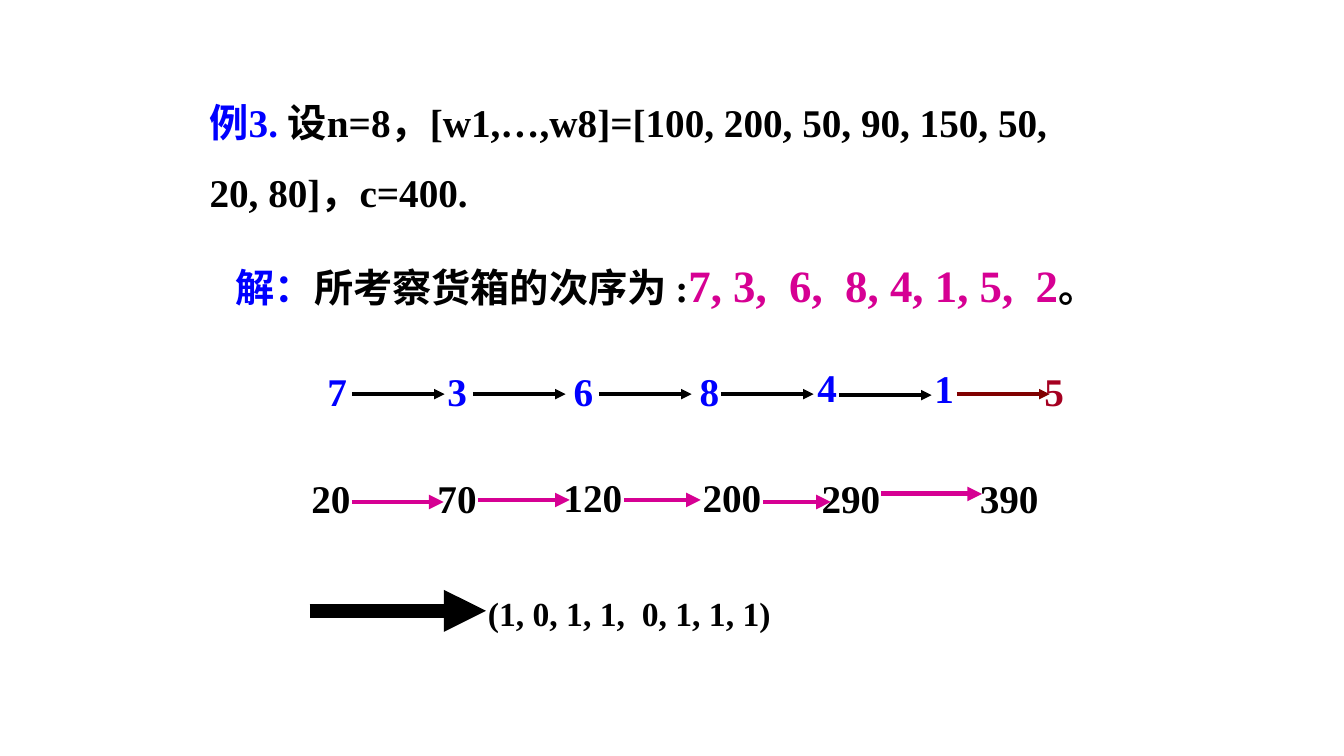
from lxml import etree
from pptx import Presentation
from pptx.dml.color import RGBColor
from pptx.enum.shapes import MSO_CONNECTOR
from pptx.enum.text import MSO_ANCHOR, MSO_AUTO_SIZE
from pptx.oxml.ns import qn
from pptx.util import Inches, Pt

STRAIGHT = MSO_CONNECTOR.STRAIGHT
TOP, MIDDLE = MSO_ANCHOR.TOP, MSO_ANCHOR.MIDDLE
GROW = MSO_AUTO_SIZE.SHAPE_TO_FIT_TEXT
BLACK, BLUE, PINK = "000000", "0000FF", "D60093"
RED, MAROON = "A50021", "800000"


def paint(code):
    return RGBColor.from_string(code)


class Board:
    """Holds the text style and the current slide, and draws on it."""

    def __init__(self, slide):
        self.slide = slide
        self.style = {"name": "Times New Roman", "bold": True}

    def text(self, box, runs, size=28, wrap=False, lead=1.0, anchor=TOP):
        shape = self.slide.shapes.add_textbox(*map(Inches, box))
        frame = shape.text_frame
        form = {"word_wrap": wrap, "auto_size": GROW, "vertical_anchor": anchor}
        for key, value in form.items():
            setattr(frame, key, value)
        para = frame.paragraphs[0]
        para.line_spacing = lead
        for words, color, *own in runs:
            run = para.add_run()
            run.text = words
            look = self.style | {"size": Pt(own[0] if own else size)}
            for key, value in look.items():
                setattr(run.font, key, value)
            run.font.color.rgb = paint(color)

    def arrow(self, left, right, y, color, width):
        ends = map(Inches, (left, y, right, y))
        link = self.slide.shapes.add_connector(STRAIGHT, *ends)
        link.line.color.rgb = paint(color)
        link.line.width = Pt(width)
        line = link.line._get_or_add_ln()
        etree.SubElement(line, qn("a:tailEnd"), type="triangle")
        etree.SubElement(link._element.spPr, qn("a:effectLst"))


def main():
    deck = Presentation()
    deck.slide_width, deck.slide_height = Inches(13.33), Inches(7.5)
    board = Board(deck.slides.add_slide(deck.slide_layouts[6]))

    board.text((1.98, 0.69, 8.95, 1.5), [
        ("例3. ", BLUE),
        ("设n=8，[w1,…,w8]=[100, 200, 50, 90, 150, 50, 20, 80]，c=400.", BLACK),
    ], wrap=True, lead=1.5, anchor=MIDDLE)
    board.text((2.24, 2.27, 9.25, 0.87), [
        ("解：", BLUE),
        ("所考察货箱的次序为 :", BLACK),
        ("7, 3,  6,  8, 4, 1, 5,  2", PINK, 32),
        ("。", BLACK),
    ], wrap=True, lead=1.45)
    board.text((4.74, 5.65, 3.08, 0.68),
               [("(1, 0, 1, 1,  0, 1, 1, 1)", BLACK)],
               size=24, wrap=True, lead=1.45)

    order = [("7", 3.15, 3.59), ("3", 4.34, 3.59), ("6", 5.59, 3.59),
             ("8", 6.84, 3.59), ("4", 8.01, 3.56), ("1", 9.17, 3.57),
             ("5", 10.26, 3.59)]
    for label, left, top in order:
        color = RED if label == "5" else BLUE
        board.text((left, top, 0.4, 0.57), [(label, color)])

    sums = [("20", 2.99, 4.66), ("70", 4.24, 4.66), ("120", 5.49, 4.65),
            ("200", 6.87, 4.65), ("290", 8.05, 4.66), ("390", 9.62, 4.66)]
    for label, left, top in sums:
        width = 0.2 + 0.195 * len(label)
        board.text((left, top, width, 0.57), [(label, BLACK)])

    steps = [(3.49, 3.91, BLACK), (4.69, 3.91, BLACK), (5.94, 3.91, BLACK),
             (7.15, 3.91, BLACK), (8.32, 3.92, BLACK), (9.49, 3.91, MAROON)]
    for left, y, color in steps:
        board.arrow(left, left + 0.92, y, color, 2.5)

    gains = [(3.49, 4.4, 4.98), (4.74, 5.65, 4.96), (6.19, 6.95, 4.96),
             (7.57, 8.24, 4.98), (8.74, 9.74, 4.9)]
    for left, right, y in gains:
        board.arrow(left, right, y, PINK, 3.5)

    board.arrow(3.07, 4.82, 6.06, BLACK, 10)
    deck.save("out.pptx")


if __name__ == "__main__":
    main()
